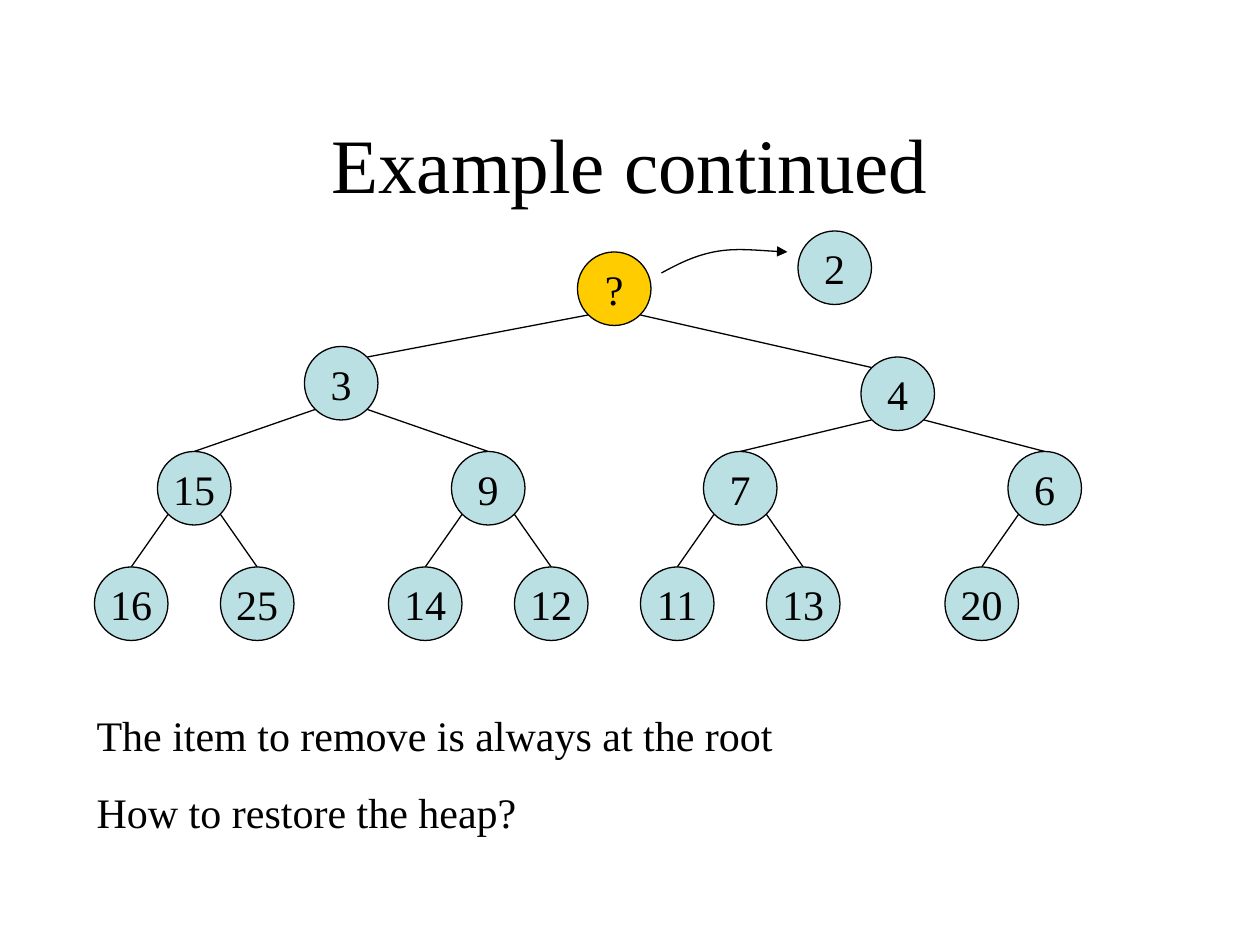
from lxml import etree
from pptx import Presentation
from pptx.dml.color import RGBColor
from pptx.enum.shapes import MSO_CONNECTOR, MSO_SHAPE
from pptx.enum.text import MSO_ANCHOR, MSO_AUTO_SIZE, PP_ALIGN
from pptx.oxml.ns import qn
from pptx.util import Pt

PX = 7620  # 120 px to the inch
SIZE = 70  # node diameter
NEAR, FAR = 10, 60  # where a diagonal meets the node's edge
BLUE, GOLD, BLACK = "BBE0E3", "FFCC00", "000000"

# Heap in level order: label, left, top, relative to the tree's box
NODES = [
    ("?", 460, 20),
    ("3", 200, 110), ("4", 730, 120),
    ("15", 60, 210), ("9", 340, 210), ("7", 580, 210), ("6", 870, 210),
    ("16", 0, 320), ("25", 120, 320), ("14", 280, 320), ("12", 400, 320),
    ("11", 520, 320), ("13", 640, 320), ("20", 810, 320),
]


def emu(*vals):
    return [v * PX for v in vals]


def color(hex):
    return RGBColor.from_string(hex)


def style(para, size):
    para.font.name = "Times New Roman"
    para.font.size = Pt(size)
    para.font.color.rgb = color(BLACK)


def stroke(shape):
    shape.line.color.rgb = color(BLACK)
    shape.line.width = Pt(0.75)


def place(shape, box):
    shape.left, shape.top, shape.width, shape.height = emu(*box)


def title(slide, box, text):
    shape = slide.shapes.title
    place(shape, box)
    shape.text_frame.text = text
    style(shape.text_frame.paragraphs[0], 44)


def notes(slide, box, lines):
    shape = slide.placeholders[1]
    place(shape, box)
    frame = shape.text_frame
    frame.auto_size = MSO_AUTO_SIZE.NONE
    frame.text = "\n".join(lines)
    for para in frame.paragraphs:
        style(para, 24)
        para.space_before = Pt(15)
        props = para._p.get_or_add_pPr()
        props.set("marL", "0")
        props.set("indent", "0")
        etree.SubElement(props, qn("a:buNone"))


def node(slide, x, y, text, fill=BLUE):
    shape = slide.shapes.add_shape(MSO_SHAPE.OVAL, *emu(x, y, SIZE, SIZE))
    shape.shadow.inherit = False
    shape.fill.solid()
    shape.fill.fore_color.rgb = color(fill)
    stroke(shape)
    frame = shape.text_frame
    frame.word_wrap = False
    frame.vertical_anchor = MSO_ANCHOR.MIDDLE
    frame.text = text
    para = frame.paragraphs[0]
    para.alignment = PP_ALIGN.CENTER
    style(para, 24)


def edge(slide, x1, y1, x2, y2):
    line = slide.shapes.add_connector(MSO_CONNECTOR.STRAIGHT, *emu(x1, y1, x2, y2))
    stroke(line)
    etree.SubElement(line._element.spPr, qn("a:effectLst"))


def tree(slide, left, top):
    spots = [(left + x, top + y) for _, x, y in NODES]
    # Edges: each node to its parent
    for i in range(1, len(NODES)):
        px, py = spots[(i - 1) // 2]
        x, y = spots[i]
        start = NEAR if i % 2 else FAR
        if i < 3:  # the root's children meet at a corner, the rest on top
            x, y = x + SIZE - start, y + NEAR
        else:
            x += SIZE // 2
        edge(slide, px + start, py + FAR, x, y)
    # Nodes
    for i, ((x, y), (text, _, _)) in enumerate(zip(spots, NODES)):
        node(slide, x, y, text, BLUE if i else GOLD)


def arrow(slide, left, top, points):
    """Draw a curve: a start, then three points to each Bezier piece."""
    spots = [(left + x, top + y) for x, y in points]
    build = slide.shapes.build_freeform(*spots[0], scale=PX)
    build.add_line_segments(spots[1:], close=False)
    shape = build.convert_to_shape()
    shape.shadow.inherit = False
    shape.fill.background()
    stroke(shape)
    # Join each three line ends into one Bezier piece
    steps = shape._element.xpath(".//a:lnTo")
    for i in range(0, len(steps), 3):
        curve = etree.Element(qn("a:cubicBezTo"))
        steps[i].addprevious(curve)
        for step in steps[i:i + 3]:
            curve.append(step[0])
            step.getparent().remove(step)
    etree.SubElement(shape.line._get_or_add_ln(), qn("a:tailEnd"), type="triangle")


def main():
    deck = Presentation()
    deck.slide_width, deck.slide_height = emu(1200, 900)
    slide = deck.slides.add_slide(deck.slide_layouts[1])
    title(slide, (90, 80, 1020, 150), "Example continued")
    tree(slide, 90, 220)
    notes(slide, (80, 670, 1080, 133),
          ["The item to remove is always at the root", "How to restore the heap?"])
    # Removed item
    node(slide, 760, 220, "2")
    arrow(slide, 630, 236,
          [(0, 24), (15, 16), (30, 8), (50, 4), (70, 0), (95, 3), (120, 4)])
    deck.save("out.pptx")


if __name__ == "__main__":
    main()
